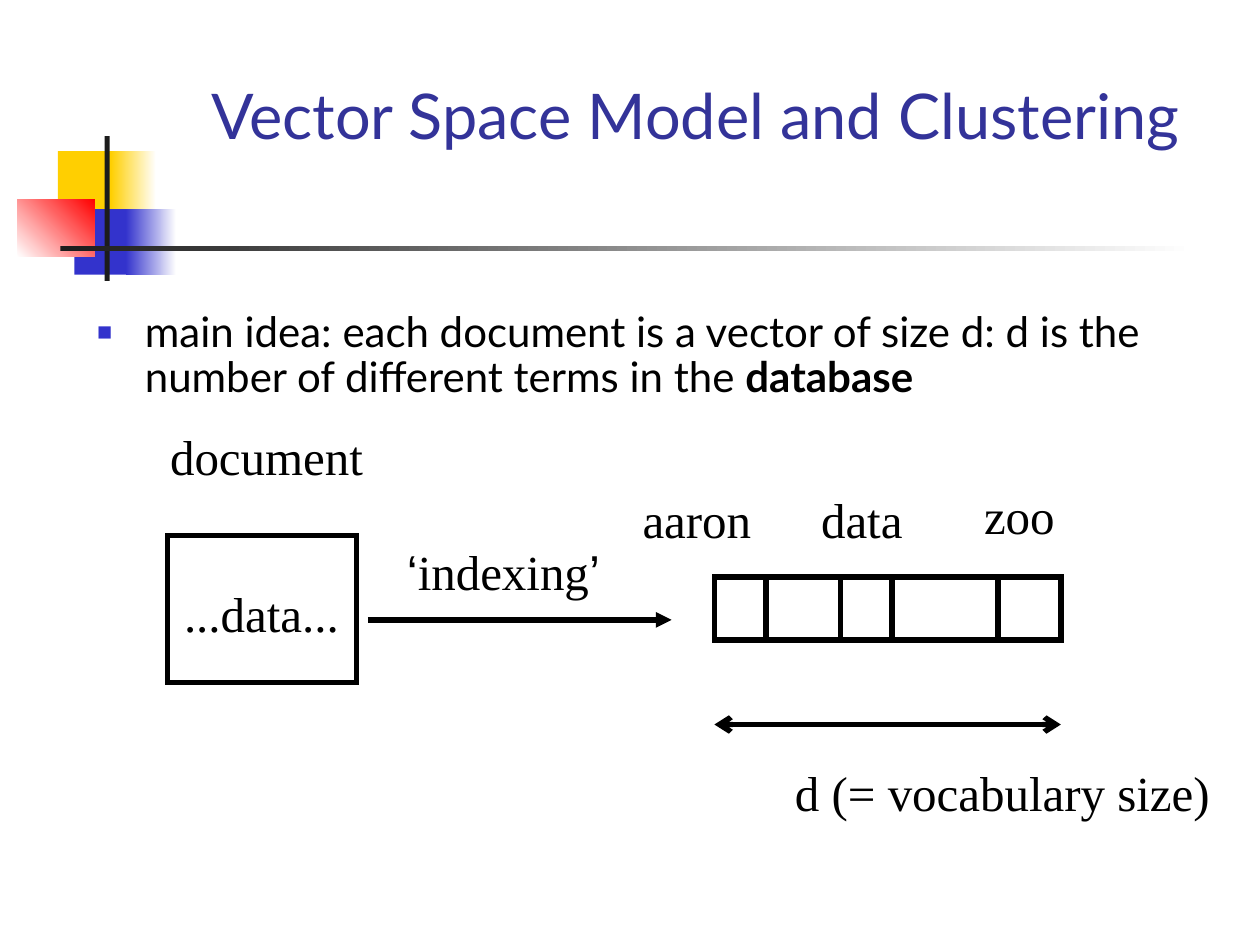
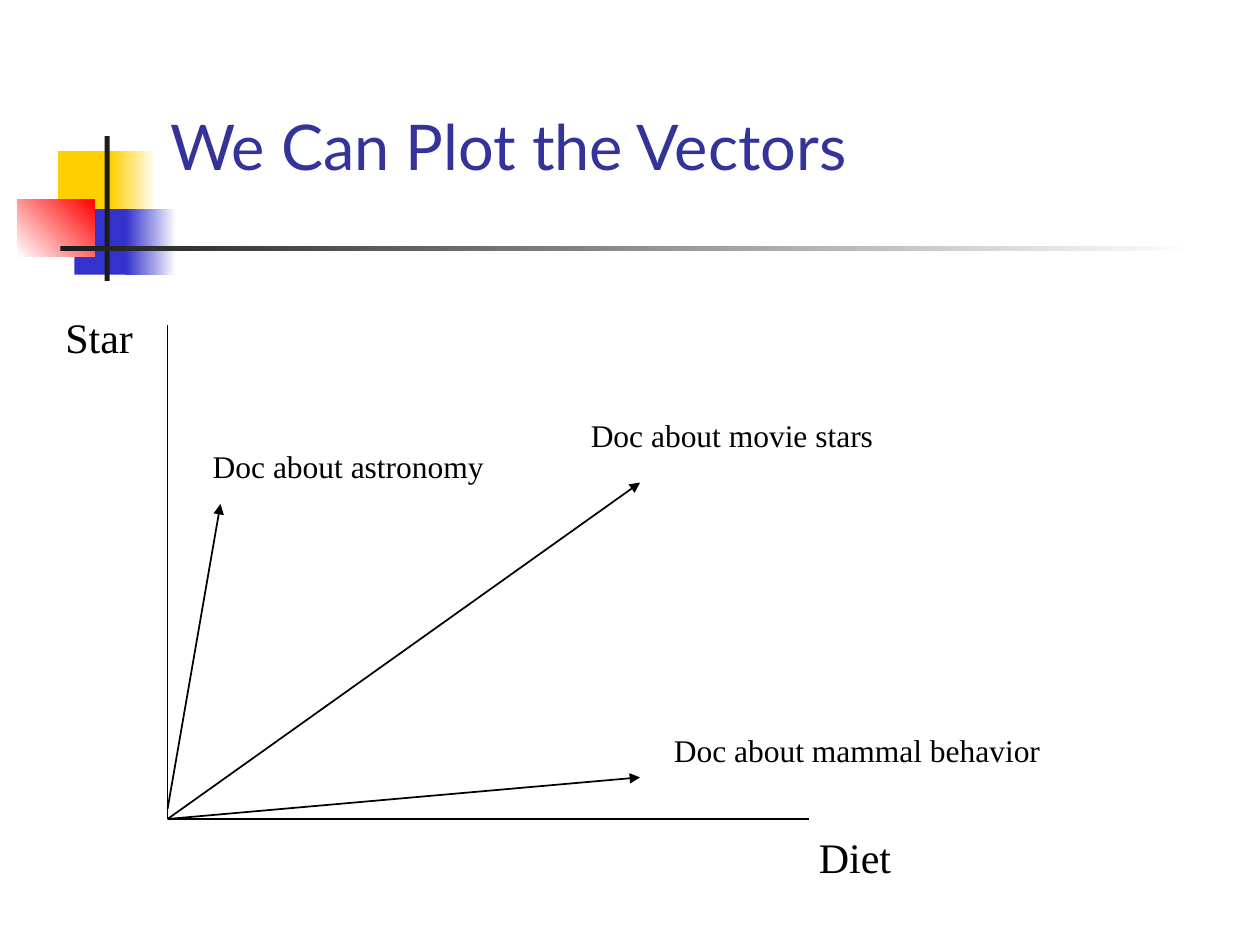
from lxml.etree import SubElement
from pptx import Presentation
from pptx.dml.color import RGBColor
from pptx.enum.shapes import MSO_CONNECTOR, MSO_SHAPE
from pptx.enum.text import MSO_ANCHOR, MSO_AUTO_SIZE, PP_ALIGN
from pptx.oxml.ns import qn
from pptx.util import Inches, Pt

BLACK = RGBColor(0x00, 0x00, 0x00)
WHITE = RGBColor(0xFF, 0xFF, 0xFF)
YELLOW = RGBColor(0xFF, 0xCF, 0x01)
BLUE = RGBColor(0x33, 0x33, 0xCC)
RED = RGBColor(0xFF, 0x00, 0x00)
DARK = RGBColor(0x1C, 0x1C, 0x1C)
TITLE_BLUE = RGBColor(0x33, 0x33, 0x99)

SERIF = "Times New Roman"
TITLE_FONT = {"name": "Lato", "size": Pt(36)}
BODY_FONT = {"name": "Lato", "size": Pt(24)}
TERM_FONT = {"name": SERIF, "size": Pt(28)}
AXIS_FONT = {"name": SERIF, "size": Pt(24)}
DOC_FONT = {"name": SERIF, "size": Pt(18)}
CENTERED = {"alignment": PP_ALIGN.CENTER}
LEFT = {"alignment": PP_ALIGN.LEFT}

BAND = [
    (0.46, 1.2, 0.48, 0.52, [YELLOW], 0),
    (0.88, 1.2, 0.36, 0.52, [YELLOW, WHITE], 0),
    (0.59, 1.66, 0.46, 0.52, [BLUE], 0),
    (1, 1.66, 0.4, 0.52, [BLUE, WHITE], 0),
    (0.14, 1.58, 0.61, 0.46, [WHITE, RED], 45),
    (0.83, 1.08, 0.04, 1.15, [DARK], 0),
    (0.48, 1.95, 9, 0.04, [DARK, WHITE], 0),
]


def set_all(obj, values):
    """Set each attribute of obj named in values."""
    for name, value in values.items():
        setattr(obj, name, value)


def place(sp, *box):
    """Move sp to a left, top, width, height box in inches."""
    set_all(sp, dict(zip(("left", "top", "width", "height"), map(Inches, box))))


def add_run(p, text, font, color=BLACK):
    """Append a formatted run to a paragraph."""
    r = p.add_run()
    r.text = text
    set_all(r.font, font)
    r.font.color.rgb = color


def add_rect(s, *box):
    """Add a rectangle without shadow."""
    sp = s.shapes.add_shape(MSO_SHAPE.RECTANGLE, *map(Inches, box))
    sp.shadow.inherit = False
    return sp


def add_frame(s, *box):
    """Add an unfilled rectangle with a thick, sharp-cornered black outline."""
    sp = add_rect(s, *box)
    sp.fill.background()
    sp.line.color.rgb = BLACK
    sp.line.width = Pt(3)
    SubElement(sp.line._get_or_add_ln(), qn("a:miter"), lim="800000")


def add_band(s):
    """Draw the coloured squares and rules beside the title."""
    for *box, colors, angle in BAND:
        sp = add_rect(s, *box)
        sp.line.fill.background()
        if len(colors) == 1:
            sp.fill.solid()
            sp.fill.fore_color.rgb = colors[0]
            continue
        sp.fill.gradient()
        sp.fill.gradient_angle = angle
        for stop, color, position in zip(sp.fill.gradient_stops, colors, (0, 1)):
            stop.color.rgb = color
            stop.position = position


def add_slide(prs, layout, title, box, align):
    """Add a slide with the band and a bottom-anchored title."""
    s = prs.slides.add_slide(prs.slide_layouts[layout])
    add_band(s)
    place(s.shapes.title, *box)
    tf = s.shapes.title.text_frame
    set_all(tf, {"vertical_anchor": MSO_ANCHOR.BOTTOM, "auto_size": MSO_AUTO_SIZE.NONE})
    set_all(tf.paragraphs[0], align)
    add_run(tf.paragraphs[0], title, TITLE_FONT, TITLE_BLUE)
    return s


def add_bullet(p):
    """Give a paragraph a hanging small blue square."""
    pPr = p._p.get_or_add_pPr()
    pPr.set("marL", str(Inches(0.38)))
    pPr.set("indent", str(-Inches(0.38)))
    color = SubElement(pPr, qn("a:buClr"))
    SubElement(color, qn("a:srgbClr"), val=str(BLUE))
    SubElement(pPr, qn("a:buSzPct"), val="60000")
    SubElement(pPr, qn("a:buFont"), typeface="Arial")
    SubElement(pPr, qn("a:buChar"), char="■")


def add_label(s, box, runs, align=CENTERED, anchor=MSO_ANCHOR.MIDDLE):
    """Add a one-line label made of (text, font) runs."""
    tf = s.shapes.add_textbox(*map(Inches, box)).text_frame
    set_all(tf, {"word_wrap": False, "vertical_anchor": anchor,
                 "auto_size": MSO_AUTO_SIZE.SHAPE_TO_FIT_TEXT})
    p = tf.paragraphs[0]
    set_all(p, align)
    for text, font in runs:
        add_run(p, text, font)


def add_line(s, start, end, width, head=None, tail=None):
    """Add a black straight line with optional arrowheads."""
    c = s.shapes.add_connector(MSO_CONNECTOR.STRAIGHT, *map(Inches, (*start, *end)))
    c.line.color.rgb = BLACK
    c.line.width = Pt(width)
    SubElement(c._element.spPr, qn("a:effectLst"))
    for tag, kind in (("a:headEnd", head), ("a:tailEnd", tail)):
        if kind:
            SubElement(c.line._get_or_add_ln(), qn(tag), type=kind)


def build_model(prs):
    """Show a document being indexed into a term vector."""
    s = add_slide(prs, 1, "Vector Space Model and Clustering",
                  (1.26, 0.5, 8.52, 0.76), CENTERED)
    body = s.placeholders[1]
    place(body, 0.67, 2.42, 8.5, 4.5)
    body.text_frame.auto_size = MSO_AUTO_SIZE.NONE
    p = body.text_frame.paragraphs[0]
    set_all(p, {"line_spacing": 0.9, "space_before": Pt(6)})
    add_bullet(p)
    add_run(p, "main idea: each document is a vector of size d: "
               "d is the number of different terms in the ", BODY_FONT)
    add_run(p, "database", {**BODY_FONT, "bold": True})

    left, right, top, bottom = 5.67, 8.42, 4.58, 5.08
    add_frame(s, 1.33, 4.25, 1.5, 1.17)
    add_frame(s, left, top, right - left, bottom - top)
    for x in (6.08, 6.67, 7.08, 7.92):
        add_line(s, (x, bottom), (x, top), 3)
    add_line(s, (left, 5.75), (right, 5.75), 3, "arrow", "arrow")
    add_line(s, (2.92, 4.92), (5.33, 4.92), 3, tail="triangle")

    for text, x, y, width in (
        ("document", 1.24, 3.33, 1.75),
        ("...data...", 1.35, 4.58, 1.45),
        ("aaron", 4.99, 3.83, 1.08),
        ("zoo", 7.7, 3.8, 0.78),
        ("data", 6.4, 3.83, 0.88),
        ("d (= vocabulary size)", 6.2, 6, 3.51),
    ):
        add_label(s, (x, y, width, 0.57), [(text, TERM_FONT)])
    quote = {**TERM_FONT, "name": "Arial"}
    add_label(s, (3.12, 4.25, 1.75, 0.57),
              [("‘", quote), ("indexing", TERM_FONT), ("’", quote)])


def build_plot(prs):
    """Plot three document vectors on two term axes."""
    s = add_slide(prs, 5, "We Can Plot the Vectors", (1.25, 0.25, 8.52, 1.25), LEFT)
    origin = (1.33, 6.5)
    for end in ((1.33, 2.58), (6.42, 6.5)):
        add_line(s, origin, end, 1)
    for start, end in (
        ((1.33, 6.42), (1.75, 4)),
        (origin, (5.08, 6.17)),
        (origin, (5.08, 3.83)),
    ):
        add_line(s, start, end, 1, tail="triangle")
    for text, font, *box in (
        ("Star", AXIS_FONT, 0.42, 2.42, 0.78, 0.5),
        ("Diet", AXIS_FONT, 6.4, 6.55, 0.82, 0.5),
        ("Doc about astronomy", DOC_FONT, 1.59, 3.5, 2.4, 0.4),
        ("Doc about movie stars", DOC_FONT, 4.59, 3.25, 2.48, 0.4),
        ("Doc about mammal behavior", DOC_FONT, 5.25, 5.75, 3.15, 0.4),
    ):
        add_label(s, box, [(text, font)], LEFT, MSO_ANCHOR.TOP)


def main():
    """Build both slides and save them."""
    prs = Presentation()
    set_all(prs, {"slide_width": Inches(10), "slide_height": Inches(7.5)})
    build_model(prs)
    build_plot(prs)
    prs.save("out.pptx")


if __name__ == "__main__":
    main()
